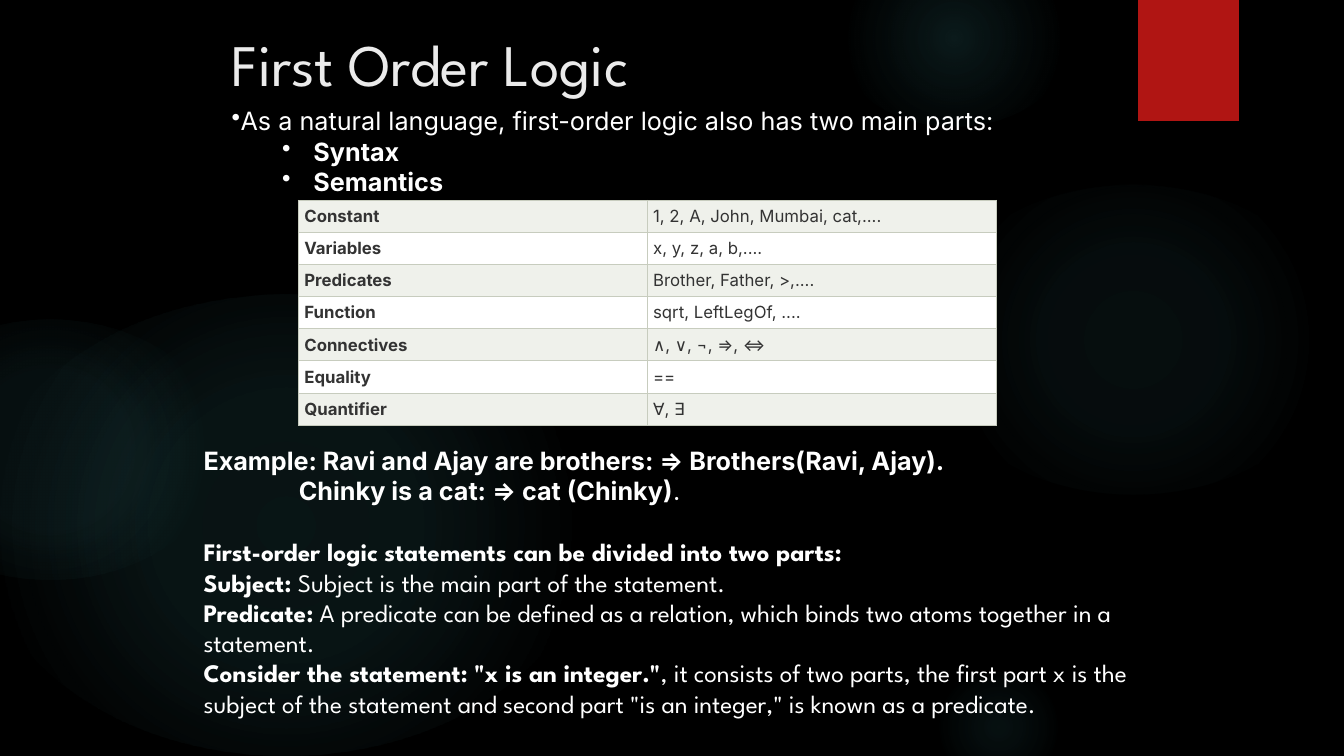
from lxml import etree
from pptx import Presentation
from pptx.dml.color import RGBColor
from pptx.enum.shapes import MSO_SHAPE
from pptx.enum.text import MSO_ANCHOR, PP_ALIGN
from pptx.oxml import parse_xml
from pptx.oxml.ns import nsdecls, qn
from pptx.util import Cm, Pt

OVAL, RECTANGLE = MSO_SHAPE.OVAL, MSO_SHAPE.RECTANGLE
MIDDLE, JUSTIFY = MSO_ANCHOR.MIDDLE, PP_ALIGN.JUSTIFY

BLACK = RGBColor(0x00, 0x00, 0x00)
WHITE = RGBColor(0xFF, 0xFF, 0xFF)
TITLE_GREY = RGBColor(0xEB, 0xEB, 0xEB)
RED = RGBColor(0xB0, 0x15, 0x13)
TEAL = RGBColor(0x50, 0xB9, 0xC1)
CELL_TEXT = RGBColor(0x33, 0x33, 0x33)
CELL_BAND = RGBColor(0xEF, 0xF1, 0xEB)
CELL_BORDER = RGBColor(0xC7, 0xCC, 0xBE)

INTER, SPARTAN = "Inter", "League Spartan"

# Left, top, width, height in cm, then (position, opacity) stops in percent
GLOWS = [
    ((23.34, 4.65, 10.44, 7.82), ((0, 7), (36, 6), (69, 0))),
    ((21.08, -1.27, 5.92, 4.45), ((0, 14), (36, 7), (73, 0))),
    ((23.34, 16.94, 3.66, 2.74), ((0, 9), (36, 5), (66, 0))),
    ((-0.56, 7.42, 15.52, 11.63), ((0, 11), (36, 10), (75, 0))),
    ((-3.1, 8.05, 8.74, 6.55), ((0, 8), (36, 8), (72, 0))),
]

ELEMENTS = [
    ("Constant", "1, 2, A, John, Mumbai, cat,...."),
    ("Variables", "x, y, z, a, b,...."),
    ("Predicates", "Brother, Father, >,...."),
    ("Function", "sqrt, LeftLegOf, ...."),
    ("Connectives", "∧, ∨, ¬, ⇒, ⇔"),
    ("Equality", "=="),
    ("Quantifier", "∀, ∃"),
]

# Bold part, regular part
EXAMPLES = [
    ("Example: Ravi and Ajay are brothers: => Brothers(Ravi, Ajay).", ""),
    ("Chinky is a cat: => cat (Chinky)", "."),
]
STATEMENT_PARTS = [
    ("First-order logic statements can be divided into two parts:", ""),
    ("Subject:", " Subject is the main part of the statement."),
    ("Predicate:", " A predicate can be defined as a relation, which binds "
     "two atoms together in a statement."),
    ('Consider the statement: "x is an integer."',
     ", it consists of two parts, the first part x is the subject of the "
     'statement and second part "is an integer," is known as a predicate.'),
]


def add_plain_shape(page, kind, place):
    shape = page.shapes.add_shape(kind, *map(Cm, place))
    shape.shadow.inherit = False
    shape.line.fill.background()
    return shape


def add_glow(page, place, stops):
    """Add an oval whose teal fades out from the centre."""
    oval = add_plain_shape(page, OVAL, place)
    stop_xml = "".join(
        f'<a:gs pos="{position * 1000}"><a:srgbClr val="{TEAL}">'
        f'<a:alpha val="{opacity * 1000}"/></a:srgbClr></a:gs>'
        for position, opacity in stops)
    gradient = parse_xml(
        f'<a:gradFill {nsdecls("a")} rotWithShape="1"><a:gsLst>{stop_xml}</a:gsLst>'
        '<a:path path="circle"><a:fillToRect l="50000" t="50000" r="50000" '
        'b="50000"/></a:path></a:gradFill>')
    properties = oval.element.spPr
    properties.find(qn("a:prstGeom")).addnext(gradient)


def add_text_frame(page, place):
    frame = page.shapes.add_textbox(*map(Cm, place)).text_frame
    frame.word_wrap = True
    return frame


def next_paragraph(frame):
    """Return the unused first paragraph, or a new one."""
    first = frame.paragraphs[0]
    return frame.add_paragraph() if first.runs else first


def set_font(font, name, size, color, bold=False):
    font.name = name
    font.size = Pt(size)
    font.color.rgb = color
    font.bold = bold


def set_indent(para, left, first_line=0):
    properties = para._p.get_or_add_pPr()
    properties.set("marL", str(Cm(left)))
    properties.set("indent", str(Cm(first_line)))


def add_bullet(frame, text, left=0, first_line=0, bold=False):
    para = next_paragraph(frame)
    para.add_run().text = text
    para.alignment = JUSTIFY
    set_font(para.font, INTER, 18, WHITE, bold)
    set_indent(para, left, first_line)
    bullet = parse_xml(f'<a:buChar {nsdecls("a")} char="•"/>')
    para._p.pPr.find(qn("a:defRPr")).addprevious(bullet)


def add_lead_paragraph(frame, lead, rest, font_name):
    """Add a paragraph that opens in bold and goes on in regular weight."""
    para = next_paragraph(frame)
    for text, bold in ((lead, True), (rest, False)):
        if text:
            span = para.add_run()
            span.text = text
            set_font(span.font, font_name, 18, WHITE, bold)
    return para


def set_borders(cell):
    properties = cell._tc.get_or_add_tcPr()
    for side in ("lnL", "lnR", "lnT", "lnB"):
        line = etree.SubElement(properties, qn(f"a:{side}"), w=str(Pt(0.75)))
        fill = etree.SubElement(line, qn("a:solidFill"))
        etree.SubElement(fill, qn("a:srgbClr"), val=str(CELL_BORDER))


def fill_cell(cell, text, color, bold):
    set_borders(cell)
    cell.fill.solid()
    cell.fill.fore_color.rgb = color
    cell.margin_left = cell.margin_right = Cm(0.15)
    cell.margin_top = cell.margin_bottom = Cm(0.15)
    para = cell.text_frame.paragraphs[0]
    para.add_run().text = text
    para.alignment = JUSTIFY
    set_font(para.font, INTER, 12, CELL_TEXT, bold)


def add_elements_table(page):
    place = map(Cm, (7.52, 5.05, 17.58, 5.56))
    table = page.shapes.add_table(len(ELEMENTS), 2, *place).table
    table.first_row = table.horz_banding = False
    for row, texts in enumerate(ELEMENTS):
        color = WHITE if row % 2 else CELL_BAND
        for column, text in enumerate(texts):
            fill_cell(table.cell(row, column), text, color, bold=column == 0)


def add_title(page):
    frame = add_text_frame(page, (5.59, 0.64, 19.61, 1.9))
    frame.vertical_anchor = MIDDLE
    para = frame.paragraphs[0]
    para.add_run().text = "First Order Logic"
    set_font(para.font, SPARTAN, 42, TITLE_GREY)


def add_main_parts(page):
    frame = add_text_frame(page, (5.59, 2.54, 20.75, 2.57))
    add_bullet(frame, "As a natural language, first-order logic also has two main parts:")
    for part in ("Syntax", "Semantics"):
        add_bullet(frame, part, left=2.06, first_line=-0.79, bold=True)


def add_explanation(page):
    frame = add_text_frame(page, (4.88, 11.1, 24.13, 7.9))
    examples = [add_lead_paragraph(frame, *texts, INTER) for texts in EXAMPLES]
    set_indent(examples[1], 2.4)
    parts = [add_lead_paragraph(frame, *texts, SPARTAN) for texts in STATEMENT_PARTS]
    parts[0].space_before = Pt(22)


def main():
    deck = Presentation()
    deck.slide_width, deck.slide_height = Cm(33.87), Cm(19.05)
    page = deck.slides.add_slide(deck.slide_layouts[6])
    page.background.fill.solid()
    page.background.fill.fore_color.rgb = BLACK

    for place, stops in GLOWS:
        add_glow(page, place, stops)
    ribbon = add_plain_shape(page, RECTANGLE, (28.68, 0, 2.54, 3.05))
    ribbon.fill.solid()
    ribbon.fill.fore_color.rgb = RED

    add_title(page)
    add_elements_table(page)
    add_main_parts(page)
    add_explanation(page)
    deck.save("out.pptx")


if __name__ == "__main__":
    main()
